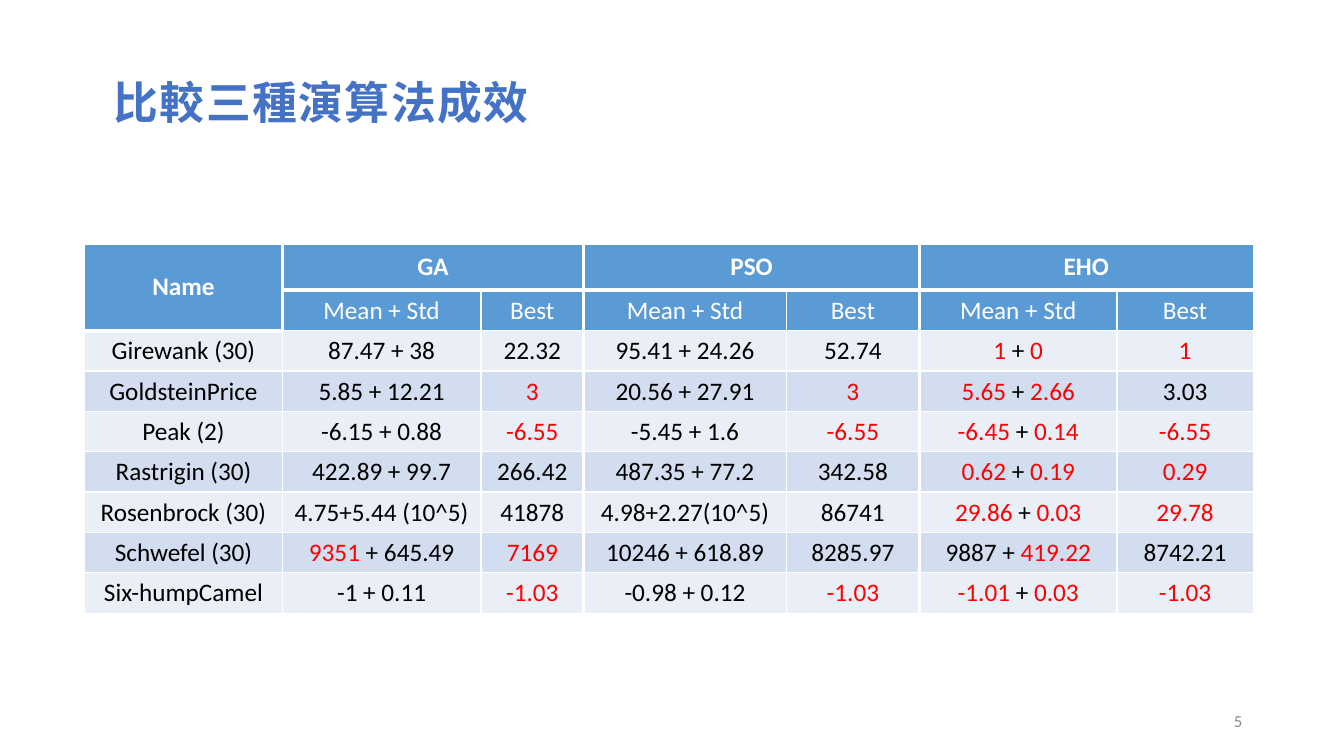
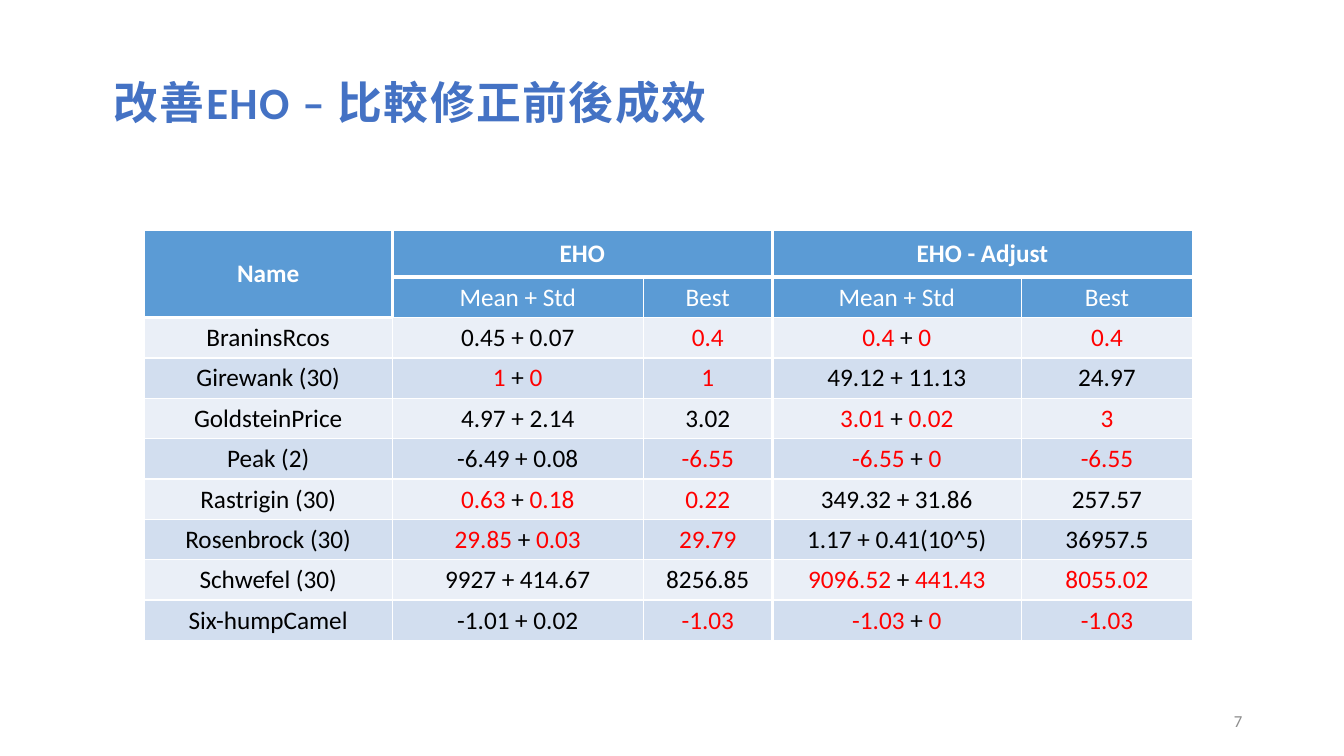
from lxml.etree import SubElement
from pptx import Presentation
from pptx.dml.color import RGBColor
from pptx.enum.text import MSO_ANCHOR as Anchor, PP_ALIGN as Align
from pptx.oxml.ns import qn
from pptx.util import Inches, Pt

FONT = "Calibri"
TITLE_BLUE = "4472C4"
HEADER_BLUE = "5B9BD5"
BANDS = ("EAEFF7", "D2DEEF")
WHITE, BLACK, RED, GREY = "FFFFFF", "000000", "FF0000", "8C8C8C"
THIN, MEDIUM, THICK = 1, 2.25, 3
HEADER_HEIGHT, ROW_HEIGHT = 0.46, 0.4
TITLE_BOX = (1.03, 0.69, 11.2, 0.64)
NUMBER_BOX = (9.42, 6.95, 3, 0.4)

COMPARISON = [
    ("Girewank (30)", "87.47 + 38", "22.32", "95.41 + 24.26", "52.74", "*1* + *0*", "*1*"),
    ("GoldsteinPrice", "5.85 + 12.21", "*3*", "20.56 + 27.91", "*3*", "*5.65* + *2.66*", "3.03"),
    ("Peak (2)", "-6.15 + 0.88", "*-6.55*", "-5.45 + 1.6", "*-6.55*", "*-6.45* + *0.14*", "*-6.55*"),
    ("Rastrigin (30)", "422.89 + 99.7", "266.42", "487.35 + 77.2", "342.58", "*0.62* + *0.19*", "*0.29*"),
    ("Rosenbrock (30)", "4.75+5.44 (10^5)", "41878", "4.98+2.27(10^5)", "86741", "*29.86* + *0.03*", "*29.78*"),
    ("Schwefel (30)", "*9351* + 645.49", "*7169*", "10246 + 618.89", "8285.97", "9887 + *419.22*", "8742.21"),
    ("Six-humpCamel", "-1 + 0.11", "*-1.03*", "-0.98 + 0.12", "*-1.03*", "*-1.01* + *0.03*", "*-1.03*"),
]
ADJUSTMENT = [
    ("BraninsRcos", "0.45 + 0.07", "*0.4*", "*0.4* + *0*", "*0.4*"),
    ("Girewank (30)", "*1* + *0*", "*1*", "49.12 + 11.13", "24.97"),
    ("GoldsteinPrice", "4.97 + 2.14", "3.02", "*3.01* + *0.02*", "*3*"),
    ("Peak (2)", "-6.49 + 0.08", "*-6.55*", "*-6.55* + *0*", "*-6.55*"),
    ("Rastrigin (30)", "*0.63* + *0.18*", "*0.22*", "349.32 + 31.86", "257.57"),
    ("Rosenbrock (30)", "*29.85* + *0.03*", "*29.79*", "1.17 + 0.41(10^5)", "36957.5"),
    ("Schwefel (30)", "9927 + 414.67", "8256.85", "*9096.52* + *441.43*", "*8055.02*"),
    ("Six-humpCamel", "-1.01 + 0.02", "*-1.03*", "*-1.03* + *0*", "*-1.03*"),
]


def color(hex_code):
    return RGBColor.from_string(hex_code)


def write(frame, text, size=18, ink=BLACK, bold=False, align=Align.LEFT, spacing=None):
    para = frame.paragraphs[0]
    para.alignment = align
    for index, piece in enumerate(text.split("*")):
        if not piece:
            continue
        span = para.add_run()
        span.text = piece
        span.font.name = FONT
        span.font.size = Pt(size)
        span.font.bold = bold
        span.font.color.rgb = color(RED if index % 2 else ink)
        if spacing:
            span.font._element.set("spc", str(spacing * 100))


def add_text(page, box, text, anchor=Anchor.TOP, **style):
    frame = page.shapes.add_textbox(*map(Inches, box)).text_frame
    frame.word_wrap = True
    frame.vertical_anchor = anchor
    write(frame, text, **style)


def set_borders(cell, **widths):
    properties = cell._tc.get_or_add_tcPr()
    for side in "LRTB":
        line = SubElement(properties, qn(f"a:ln{side}"), w=str(Pt(widths.get(side, THIN))))
        fill = SubElement(line, qn("a:solidFill"))
        SubElement(fill, qn("a:srgbClr"), val=WHITE)


def style_cell(cell, row, column, last_column):
    in_name = column == 0 and row < 2
    starts_group = column % 2 == 1 and (column > 1 or row == 0)
    ends_group = column and column % 2 == 0 and column < last_column
    set_borders(
        cell,
        L=MEDIUM if starts_group else THIN,
        R=MEDIUM if in_name or ends_group else THIN,
        B=THICK if in_name or row == 0 else THIN,
    )
    cell.fill.solid()
    cell.fill.fore_color.rgb = color(HEADER_BLUE if row < 2 else BANDS[row % 2])
    cell.vertical_anchor = Anchor.MIDDLE if row < 2 else Anchor.TOP


def add_results(page, left, top, widths, groups, results):
    top_header = ["Name"] + [text for group in groups for text in (group, "")]
    sub_header = [""] + ["Mean + Std", "Best"] * len(groups)
    rows = [top_header, sub_header, *results]
    heights = [HEADER_HEIGHT] + [ROW_HEIGHT] * (len(rows) - 1)
    box = (left, top, sum(widths), sum(heights))
    table = page.shapes.add_table(len(rows), len(widths), *map(Inches, box)).table
    table.first_row = table.horz_banding = False
    for column, width in zip(table.columns, widths):
        column.width = Inches(width)
    for row, height in zip(table.rows, heights):
        row.height = Inches(height)
    for r, texts in enumerate(rows):
        for c, text in enumerate(texts):
            cell = table.cell(r, c)
            style_cell(cell, r, c, len(widths) - 1)
            write(cell.text_frame, text, ink=WHITE if r < 2 else BLACK,
                  bold=r == 0, align=Align.CENTER)
    table.cell(0, 0).merge(table.cell(1, 0))
    for c in range(1, len(widths), 2):
        table.cell(0, c).merge(table.cell(0, c + 1))


def add_page(deck, title, number, **results):
    page = deck.slides.add_slide(deck.slide_layouts[6])
    add_text(page, TITLE_BOX, title, size=32, ink=TITLE_BLUE, bold=True, spacing=1)
    add_text(page, NUMBER_BOX, number, anchor=Anchor.MIDDLE, size=12, ink=GREY, align=Align.RIGHT)
    add_results(page, **results)


def main():
    deck = Presentation()
    deck.slide_width, deck.slide_height = Inches(13.33), Inches(7.5)
    add_page(deck, "比較三種演算法成效", "5", left=0.84, top=2.42,
             widths=(1.96, 1.97, 1.02, 2.01, 1.32, 1.96, 1.35),
             groups=("GA", "PSO", "EHO"), results=COMPARISON)
    add_page(deck, "改善EHO – 比較修正前後成效", "7", left=1.43, top=2.29,
             widths=(2.46, 2.49, 1.28, 2.47, 1.7),
             groups=("EHO", "EHO - Adjust"), results=ADJUSTMENT)
    deck.save("out.pptx")


if __name__ == "__main__":
    main()
